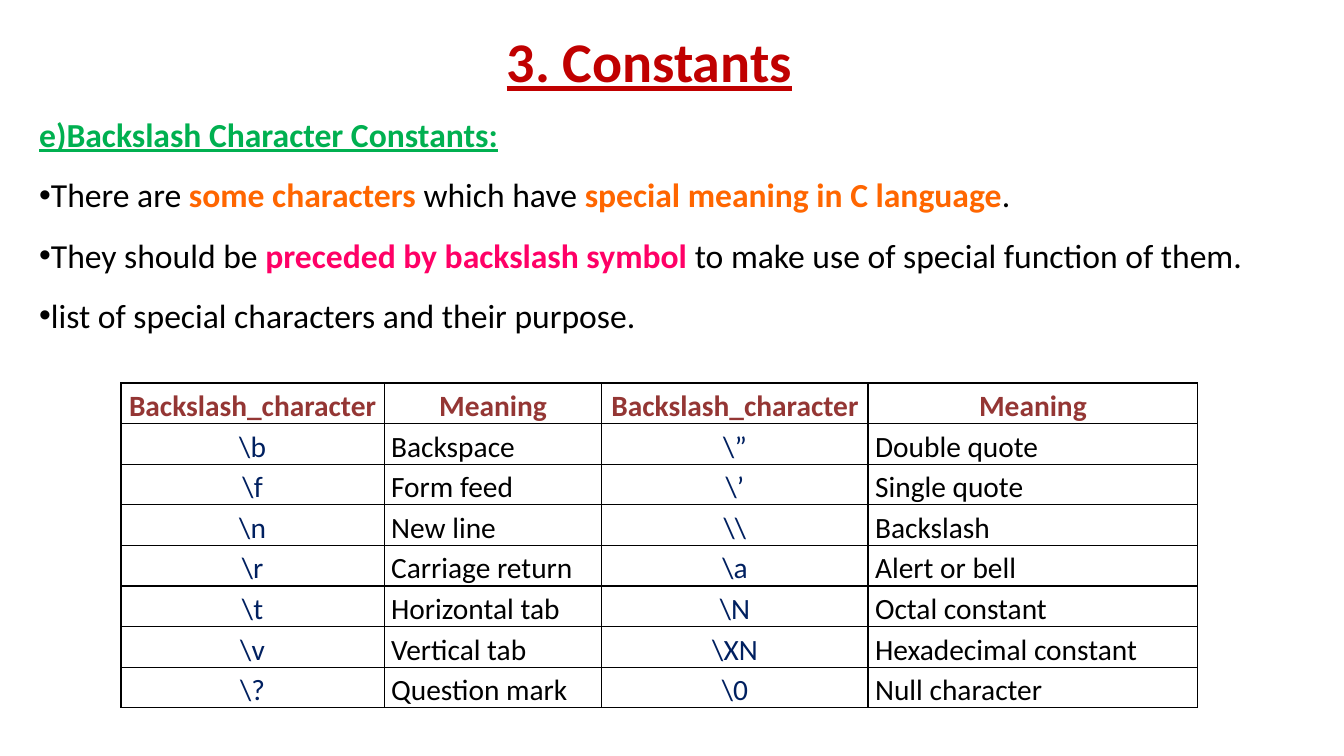
from lxml import etree
from pptx import Presentation
from pptx.dml.color import RGBColor
from pptx.enum.text import MSO_ANCHOR, PP_ALIGN
from pptx.oxml.ns import qn
from pptx.util import Inches, Pt

MID, TOP = MSO_ANCHOR.MIDDLE, MSO_ANCHOR.TOP
LEFT, CENTER, JUST = PP_ALIGN.LEFT, PP_ALIGN.CENTER, PP_ALIGN.JUSTIFY
FONT = "Calibri"
COLORS = {"black": "000000", "red": "C00000", "green": "00B050",
          "orange": "FF6600", "pink": "FF0066", "brown": "943634",
          "navy": "002060"}

# Content: a run is (text, colour); coloured runs in the points are bold
TITLE = "3. Constants"
HEAD = "e)Backslash Character Constants:"
POINTS = [
    [("There are ", "black"), ("some characters ", "orange"),
     ("which have ", "black"), ("special meaning in C language", "orange"),
     (".", "black")],
    [("They should be ", "black"), ("preceded by backslash symbol ", "pink"),
     ("to make use of special function of them.", "black")],
    [("list of special characters and their purpose.", "black")],
]
ROWS = [
    ("Backslash_character", "Meaning", "Backslash_character", "Meaning"),
    (r"\b", "Backspace", r"\”", "Double quote"),
    (r"\f", "Form feed", r"\’", "Single quote"),
    (r"\n", "New line", r"\\", "Backslash"),
    (r"\r", "Carriage return", r"\a", "Alert or bell"),
    (r"\t", "Horizontal tab", r"\N", "Octal constant"),
    (r"\v", "Vertical tab", r"\XN", "Hexadecimal constant"),
    (r"\?", "Question mark", r"\0", "Null character"),
]
WIDTHS = [2.61, 2.16, 2.64, 3.27]
ROW_H = 0.38


def write(para, text, size=24, color="black", bold=False, line=False,
          align=LEFT, space=1.0):
    para.alignment = align
    para.line_spacing = space
    run = para.add_run()
    run.text = text
    font = run.font
    font.name, font.size = FONT, Pt(size)
    font.bold, font.underline = bold, line
    font.color.rgb = RGBColor.from_string(COLORS[color])


def add_box(slide, x, y, w, h, anchor):
    frame = slide.shapes.add_textbox(
        Inches(x), Inches(y), Inches(w), Inches(h)).text_frame
    frame.word_wrap = True
    frame.vertical_anchor = anchor
    return frame


def add_bullet(para):
    props = para._p.get_or_add_pPr()
    props.set("marL", "0")
    props.set("indent", str(-Inches(0.17)))
    tint = etree.SubElement(props, qn("a:buClr"))
    etree.SubElement(tint, qn("a:srgbClr"), val=COLORS["black"])
    etree.SubElement(props, qn("a:buFont"), typeface="Arial")
    etree.SubElement(props, qn("a:buChar"), char="•")


def add_border(cell):
    props = cell._tc.get_or_add_tcPr()
    for pos, side in enumerate(("lnL", "lnR", "lnT", "lnB")):
        edge = etree.Element(qn("a:" + side), w=str(Pt(1)))
        fill = etree.SubElement(edge, qn("a:solidFill"))
        etree.SubElement(fill, qn("a:srgbClr"), val=COLORS["black"])
        props.insert(pos, edge)


deck = Presentation()
deck.slide_width, deck.slide_height = Inches(13.33), Inches(7.5)
slide = deck.slides.add_slide(deck.slide_layouts[6])

# Heading and bullet points
body = add_box(slide, 0.29, 0.88, 12.59, 3.13, TOP)
write(body.paragraphs[0], HEAD, color="green", bold=True, line=True,
      align=JUST, space=1.5)
for point in POINTS:
    para = body.add_paragraph()
    add_bullet(para)
    for text, color in point:
        write(para, text, color=color, bold=color != "black",
              align=JUST, space=1.5)

# Table of escape characters
table = slide.shapes.add_table(
    len(ROWS), len(WIDTHS), Inches(1.2), Inches(3.8),
    Inches(sum(WIDTHS)), Inches(ROW_H * len(ROWS))).table
table.horz_banding = table.first_row = False
for col, width in zip(table.columns, WIDTHS):
    col.width = Inches(width)
for r, row in enumerate(ROWS):
    table.rows[r].height = Inches(ROW_H)
    for c, text in enumerate(row):
        cell = table.cell(r, c)
        cell.fill.background()
        add_border(cell)
        cell.vertical_anchor = MID
        cell.margin_left = cell.margin_right = Inches(0.07)
        cell.margin_top = cell.margin_bottom = 0
        head, code = r == 0, c % 2 == 0
        color = "brown" if head else "navy" if code else "black"
        write(cell.text_frame.paragraphs[0], text, size=21, color=color,
              bold=head, align=CENTER if head or code else LEFT, space=1.15)

# Title
title = add_box(slide, 0.44, 0.2, 12, 0.8, MID)
write(title.paragraphs[0], TITLE, size=40, color="red", bold=True, line=True,
      align=CENTER)

deck.save("out.pptx")
